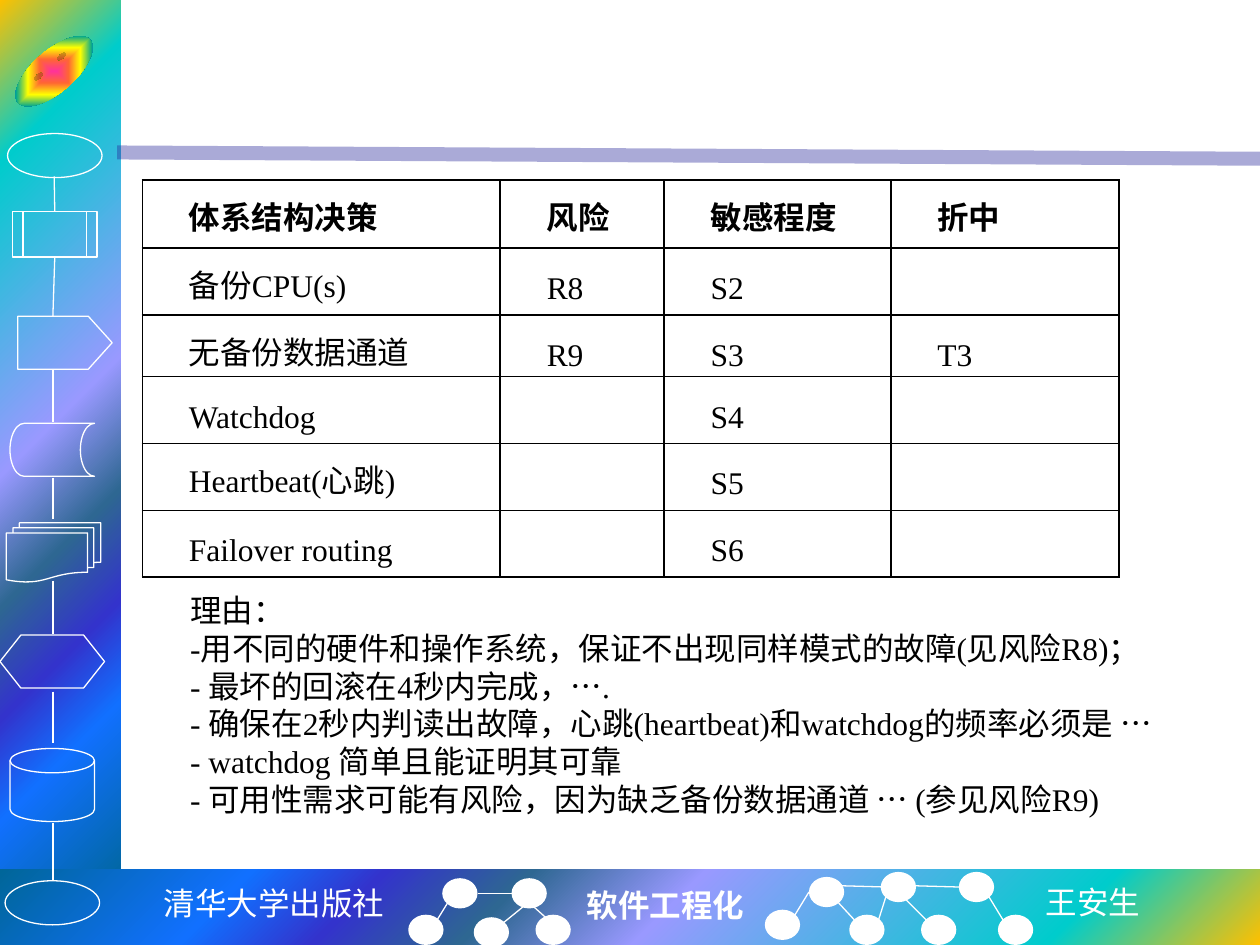
from lxml import etree
from pptx import Presentation
from pptx.dml.color import RGBColor
from pptx.enum.shapes import MSO_CONNECTOR, MSO_SHAPE
from pptx.enum.text import MSO_ANCHOR, PP_ALIGN
from pptx.oxml.ns import qn
from pptx.util import Inches, Pt

S = MSO_SHAPE
LINE = MSO_CONNECTOR.STRAIGHT
MID = MSO_ANCHOR.MIDDLE
LEFT, CENTER = PP_ALIGN.LEFT, PP_ALIGN.CENTER
WHITE, BLACK = "FFFFFF", "000000"
ROMAN, ARIAL = "Times New Roman", "Arial"
INDENT = 0.3

# Content: table and reasons
ROWS = [
    ("体系结构决策", "风险", "敏感程度", "折中"),
    ("备份CPU(s)", "R8", "S2", ""),
    ("无备份数据通道", "R9", "S3", "T3"),
    ("Watchdog", "", "S4", ""),
    ("Heartbeat(心跳)", "", "S5", ""),
    ("Failover routing", "", "S6", ""),
]
COLS = (2.84, 1.3, 1.8, 1.81)
HEAD_H, ROW_H = 0.54, 0.49
REASONS = [
    ["理由："],
    ["-用不同的硬件和操作系统，保证不出现同样模式的故障(见风险R8)；"],
    ["- 最坏的回滚在4秒内完成，", "…", "."],
    ["- 确保在2秒内判读出故障，心跳(heartbeat)和watchdog的频率必须是 ", "…"],
    ["- watchdog 简单且能证明其可靠"],
    ["- 可用性需求可能有风险，因为缺乏备份数据通道 ", "…", " (参见风险R9)"],
]

# Content: frame of the slide
FOOTER = [
    ("清华大学出版社", (1.19, 6.97, 1.97, 0.4), CENTER, "Courier New", False),
    ("软件工程化", (4.56, 6.98, 1.46, 0.4), LEFT, ROMAN, True),
    ("王安生", (8.2, 6.96, 0.96, 0.4), LEFT, "Noto Sans CJK SC", False),
]
BLEND = [(0, "FFC000"), (16, "00CCCC"), (47, "9999FF"), (60, "2E6792"),
         (71, "3333CC"), (81, "1170FF"), (100, "006699")]
GLOW = [(0, "FF3399"), (25, "FF6633"), (50, "FFFF00"), (75, "01A78F"),
        (100, "3366FF")]
BANDS = [((0, 0, 0.96, 7.09), (0, 0, 100, 100)),
         ((0, 6.9, 10, 0.6), (100, 100, 0, 0))]
FLOW = [
    (S.OVAL, (0.06, 1.06, 0.75, 0.35)),
    (S.FLOWCHART_PREDEFINED_PROCESS, (0.1, 1.68, 0.67, 0.36)),
    (S.PENTAGON, (0.14, 2.51, 0.75, 0.42)),
    (S.FLOWCHART_STORED_DATA, (0.08, 3.36, 0.67, 0.42)),
    (S.FLOWCHART_MULTIDOCUMENT, (0.05, 4.15, 0.75, 0.47)),
    (S.FLOWCHART_PREPARATION, (0, 5.04, 0.83, 0.42)),
    (S.FLOWCHART_MAGNETIC_DISK, (0.08, 5.94, 0.67, 0.58)),
    (S.OVAL, (0.04, 6.99, 0.75, 0.35)),
]
STEPS = [(2.93, 3.35), (3.79, 4.12), (4.61, 5.03), (5.49, 5.9), (6.53, 6.99)]
NODES = [(3.51, 6.97), (4.06, 6.97), (3.24, 7.26), (3.76, 7.28), (4.25, 7.26),
         (6.42, 6.96), (6.99, 6.92), (7.61, 6.92), (6.07, 7.22), (6.74, 7.26),
         (7.31, 7.26), (7.92, 7.26)]
LINKS = [
    (3.47, 7.3, 3.55, 7.17), (4, 7.32, 4.16, 7.19), (4.06, 7.09, 3.79, 7.09),
    (4.34, 7.29, 4.24, 7.2), (6.78, 7.3, 6.65, 7.16), (7.35, 7.3, 7.15, 7.1),
    (7.96, 7.3, 7.85, 7.12), (6.97, 7.31, 7.03, 7.12), (7.26, 7.03, 7.61, 7.04),
    (6.31, 7.26, 6.42, 7.08), (6.68, 7.03, 7.03, 7.04),
]


def color(text):
    return RGBColor.from_string(text)


def sub(node, tag, **attrs):
    return etree.SubElement(node, qn(tag), {k: str(v) for k, v in attrs.items()})


def style(font, **values):
    for key, value in values.items():
        setattr(font, key, value)


def shape(kind, box, fill=None, line=None):
    item = slide.shapes.add_shape(kind, *map(Inches, box))
    item.shadow.inherit = False
    for part, tone in ((item.fill, fill), (item.line.fill, line)):
        if tone:
            part.solid()
            part.fore_color.rgb = color(tone)
        else:
            part.background()
    if line:
        item.line.width = Pt(0.75)
    return item


def blend(item, stops, kind, focus):
    """Replace the fill with a path gradient centred on focus."""
    props = item.fill._xPr
    old = props.find(qn("a:noFill"))
    grad = etree.Element(qn("a:gradFill"), rotWithShape="1")
    stop_list = sub(grad, "a:gsLst")
    for pos, tone in stops:
        sub(sub(stop_list, "a:gs", pos=pos * 1000), "a:srgbClr", val=tone)
    area = sub(grad, "a:path", path=kind)
    sub(area, "a:fillToRect", **{k: v * 1000 for k, v in zip("ltrb", focus)})
    props.replace(old, grad)


def link(x1, y1, x2, y2, tone=WHITE, width=0.75):
    item = slide.shapes.add_connector(LINE, *map(Inches, (x1, y1, x2, y2)))
    item.line.color.rgb = color(tone)
    item.line.width = Pt(width)
    sub(item._element.spPr, "a:effectLst")
    return item


def write(para, text, face=ROMAN, tone=BLACK, bold=False):
    run = para.add_run()
    run.text = text
    style(run.font, name=face, size=Pt(18), bold=bold)
    run.font.color.rgb = color(tone)


def indent(para):
    props = para._p.get_or_add_pPr()
    props.set("marL", "0")
    props.set("indent", str(Inches(INDENT)))


def border(cell):
    props = cell._tc.get_or_add_tcPr()
    for side in "LRTB":
        edge = sub(props, f"a:ln{side}", w=Pt(1))
        sub(sub(edge, "a:solidFill"), "a:srgbClr", val=BLACK)
    cell.fill.background()


deck = Presentation()
deck.slide_width, deck.slide_height = Inches(10), Inches(7.5)
slide = deck.slides.add_slide(deck.slide_layouts[6])

# Coloured bands and title rule
for box, focus in BANDS:
    blend(shape(S.RECTANGLE, box), BLEND, "circle", focus)
rule = link(0.93, 1.21, 10, 1.26, "262699", 8)
tone = rule._element.spPr.find(".//" + qn("a:srgbClr"))
sub(tone, "a:alpha", val=39000)

# Tilted face
face = shape(S.SMILEY_FACE, (0.05, 0.4, 0.76, 0.33))
face.rotation = -41
blend(face, GLOW, "rect", (50, 50, 50, 50))

# Flowchart column
flow = [shape(kind, box, line=WHITE) for kind, box in FLOW]
flow[2].adjustments[0] = 0.45
link(0.43, 1.4, 0.43, 1.68).end_connect(flow[1], 0)
link(0.43, 2.04, 0.42, 2.51).begin_connect(flow[1], 2)
for top, end in STEPS:
    link(0.42, top, 0.42, end)

# Footer networks and names
for x, y in NODES:
    shape(S.OVAL, (x, y, 0.28, 0.24), fill=WHITE)
for ends in LINKS:
    link(*ends)
for text, box, align, font, bold in FOOTER:
    frame = slide.shapes.add_textbox(*map(Inches, box)).text_frame
    frame.word_wrap = False
    frame.paragraphs[0].alignment = align
    write(frame.paragraphs[0], text, font, WHITE, bold)

# Decision table
heights = [HEAD_H] + [ROW_H] * (len(ROWS) - 1)
box = (1.13, 1.43, sum(COLS), sum(heights))
table = slide.shapes.add_table(len(ROWS), len(COLS), *map(Inches, box)).table
table.first_row = table.horz_banding = False
for col, width in zip(table.columns, COLS):
    col.width = Inches(width)
for r, (row, height) in enumerate(zip(ROWS, heights)):
    table.rows[r].height = Inches(height)
    for c, text in enumerate(row):
        cell = table.cell(r, c)
        border(cell)
        style(cell, margin_left=Inches(0.07), margin_right=Inches(0.07),
              margin_top=Inches(0.23), margin_bottom=0)
        para = cell.text_frame.paragraphs[0]
        para.line_spacing = Pt(16.6)
        indent(para)
        if text:
            write(para, text, bold=r == 0)

# Reasons
frame = slide.shapes.add_textbox(*map(Inches, (1.11, 4.63, 8.89, 1.92))).text_frame
style(frame, word_wrap=True, vertical_anchor=MID)
for i, parts in enumerate(REASONS):
    para = frame.add_paragraph() if i else frame.paragraphs[0]
    indent(para)
    for text in parts:
        write(para, text, ARIAL if text == "…" else ROMAN)

deck.save("out.pptx")
